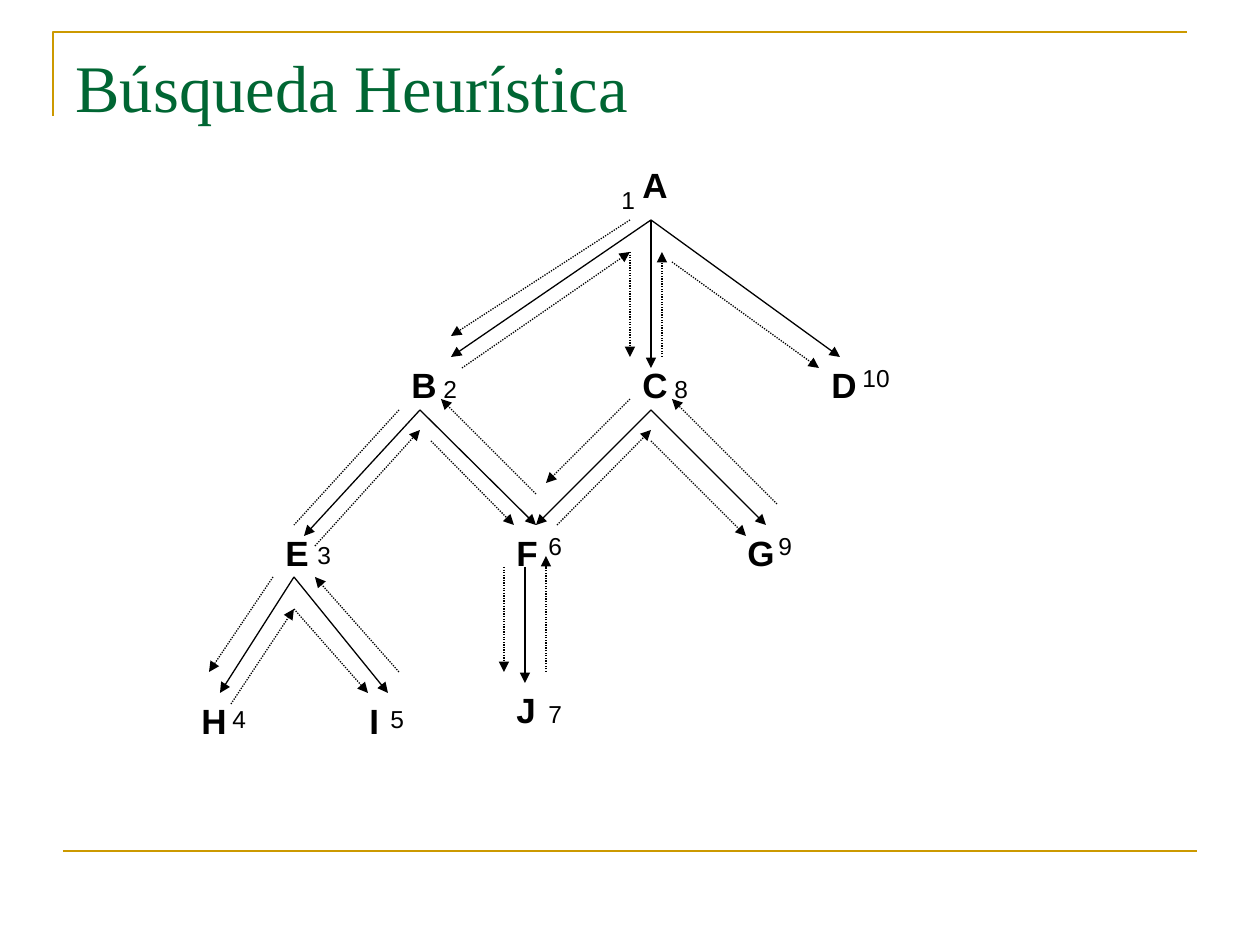
import pptx
import pptx.util
import pptx.dml.color
import pptx.enum.dml
import pptx.enum.shapes
import pptx.enum.text
import pptx.oxml
import pptx.oxml.ns
from dataclasses import dataclass
from lxml import etree

PX = 914400 // 126  # EMU per pixel


@dataclass(frozen=True)
class Theme:
    heading_font: str = "Times New Roman"
    body_font: str = "Arial"
    heading: str = "006633"
    ink: str = "000000"
    rule: str = "CC9900"
    heading_size: int = 38
    node_size: int = 20
    order_size: int = 14
    rule_width: float = 1.5
    edge_width: float = 0.74


class TreeSlide:
    def __init__(self, deck, theme):
        self.theme = theme
        self.slide = deck.slides.add_slide(deck.slide_layouts[5])

    def format_text(self, frame, font_name, size, color, bold=False):
        frame.vertical_anchor = pptx.enum.text.MSO_ANCHOR.TOP
        for paragraph in frame.paragraphs:
            paragraph.alignment = pptx.enum.text.PP_ALIGN.LEFT
            for run in paragraph.runs:
                run.font.name = font_name
                run.font.size = pptx.util.Pt(size)
                run.font.bold = bold
                run.font.color.rgb = pptx.dml.color.RGBColor.from_string(color)

    def title(self, text, left, top, width, height):
        heading = self.slide.shapes.title
        heading.left, heading.top = left * PX, top * PX
        heading.width, heading.height = width * PX, height * PX
        frame = heading.text_frame
        frame.text = text
        self.format_text(frame, self.theme.heading_font, self.theme.heading_size,
                         self.theme.heading)
        frame.vertical_anchor = pptx.enum.text.MSO_ANCHOR.MIDDLE

    def label(self, text, left, top, width, height, size, bold=False):
        box = self.slide.shapes.add_textbox(left * PX, top * PX, width * PX, height * PX)
        frame = box.text_frame
        frame.word_wrap = False
        frame.auto_size = pptx.enum.text.MSO_AUTO_SIZE.SHAPE_TO_FIT_TEXT
        frame.text = text
        self.format_text(frame, self.theme.body_font, size, self.theme.ink, bold)

    def stroke(self, line, color, width):
        line.color.rgb = pptx.dml.color.RGBColor.from_string(color)
        line.width = pptx.util.Pt(width)

    def line(self, start, end, color, width, dotted=False, arrow=False):
        connector = self.slide.shapes.add_connector(
            pptx.enum.shapes.MSO_CONNECTOR.STRAIGHT,
            start[0] * PX, start[1] * PX, end[0] * PX, end[1] * PX)
        self.stroke(connector.line, color, width)
        if dotted:
            connector.line.dash_style = pptx.enum.dml.MSO_LINE.ROUND_DOT
        properties = connector._element.spPr
        if arrow:
            etree.SubElement(connector.line._get_or_add_ln(),
                             pptx.oxml.ns.qn("a:tailEnd"), type="triangle")
        etree.SubElement(properties, pptx.oxml.ns.qn("a:effectLst"))

    def edge(self, start, end, dotted=False, arrow=True):
        self.line(start, end, self.theme.ink, self.theme.edge_width, dotted, arrow)

    def corner(self, first, *others):
        builder = self.slide.shapes.build_freeform(*first, scale=PX)
        builder.add_line_segments(others, close=False)
        outline = builder.convert_to_shape()
        outline.shadow.inherit = False
        outline.fill.background()
        self.stroke(outline.line, self.theme.rule, self.theme.rule_width)


# Node name: left, top, width
NODES = {
    "A": (630, 157, 50), "B": (399, 357, 50), "C": (630, 357, 50), "D": (819, 357, 50),
    "E": (273, 525, 48), "F": (504, 525, 47), "G": (735, 525, 52),
    "H": (189, 693, 50), "I": (357, 693, 34), "J": (504, 682, 44),
}

# Foot of each parent, then the arrow tips towards its children
BRANCHES = [
    ((651, 220), [(451, 357), (651, 368), (840, 357)]),
    ((420, 410), [(304, 536), (536, 525)]),
    ((651, 410), [(536, 525), (766, 525)]),
    ((294, 577), [(220, 693), (388, 693)]),
    ((525, 567), [(525, 683)]),
]

# Search moves in the order they are made
MOVES = [
    ((630, 220), (451, 336)),  # A to B
    ((399, 410), (294, 525)),  # B to E
    ((273, 577), (209, 672)),  # E to H
    ((231, 704), (294, 609)),  # H to E
    ((294, 609), (368, 693)),  # E to I
    ((399, 672), (315, 577)),  # I to E
    ((315, 546), (420, 430)),  # E to B
    ((431, 441), (514, 525)),  # B to F
    ((504, 567), (504, 672)),  # F to J
    ((546, 672), (546, 556)),  # J to F
    ((536, 494), (441, 399)),  # F to B
    ((462, 368), (630, 252)),  # B to A
    ((630, 252), (630, 357)),  # A to C
    ((630, 399), (546, 483)),  # C to F
    ((557, 525), (651, 430)),  # F to C
    ((651, 441), (746, 536)),  # C to G
    ((777, 504), (672, 399)),  # G to C
    ((662, 357), (662, 252)),  # C to A
    ((672, 262), (819, 368)),  # A to D
]
HEADLESS_MOVE = 1  # B to E has no arrowhead

# Left and top of the visit numbers 1 to 10
VISITS = [(609, 179), (431, 368), (305, 534), (220, 698), (378, 698),
          (536, 525), (536, 693), (662, 368), (766, 525), (850, 357)]
ONE_DIGIT_WIDTH, TWO_DIGIT_WIDTH = 39, 56

deck = pptx.Presentation()
deck.slide_width, deck.slide_height = 1260 * PX, 945 * PX
theme = Theme()
search = TreeSlide(deck, theme)

# Title and golden rules
search.corner((53, 116), (53, 32), (1187, 32))
search.line((63, 851), (1197, 851), theme.rule, theme.rule_width)
search.title("Búsqueda Heurística", 63, 37, 1134, 98)

# Tree
for name, (left, top, width) in NODES.items():
    search.label(name, left, top, width, 55, theme.node_size, bold=True)
for foot, tips in BRANCHES:
    for tip in tips:
        search.edge(foot, tip)

# Search path and visiting order
for step, (start, end) in enumerate(MOVES):
    search.edge(start, end, dotted=True, arrow=step != HEADLESS_MOVE)
for number, (left, top) in enumerate(VISITS, start=1):
    width = ONE_DIGIT_WIDTH if number < 10 else TWO_DIGIT_WIDTH
    search.label(str(number), left, top, width, 43, theme.order_size)

deck.save("out.pptx")
